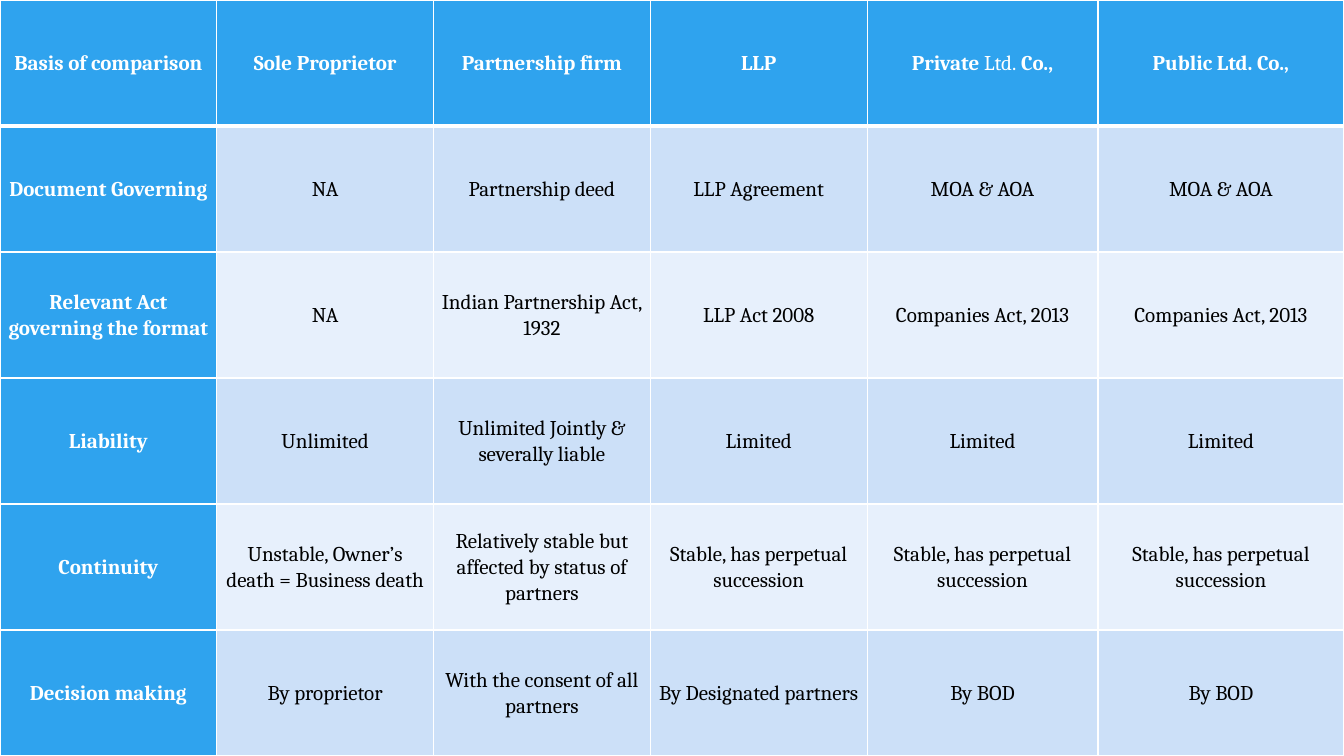
from lxml import etree
from pptx import Presentation
from pptx.dml.color import RGBColor
from pptx.enum import text as t
from pptx.oxml.ns import qn
from pptx.util import Inches, Pt

HEX = {"head": "2FA3EE", "odd": "CCE0F8", "even": "E7F0FC",
       "white": "FFFFFF", "black": "000000", "gray": "B7B7B7"}
WIDTHS = [2.15, 2.15, 2.15, 2.15, 2.29, 2.44]
HIGH = 1.25
# A cell is a string (newline = new paragraph) or a list of (text, bold) runs.
ROWS = [
    ["Basis of comparison", "Sole Proprietor", "Partnership firm", "LLP",
     [("Private ", True), ("Ltd.", False), (" Co.,", True)],
     "Public Ltd. Co.,"],
    ["Document Governing", "NA", "Partnership deed", "LLP Agreement",
     "MOA & AOA", "MOA & AOA"],
    ["Relevant Act governing the format", "NA",
     "Indian Partnership Act, 1932", "LLP Act 2008",
     "Companies Act, 2013", "Companies Act, 2013"],
    ["Liability", "Unlimited", "Unlimited Jointly & severally liable",
     "Limited", "Limited", "Limited"],
    ["Continuity", "Unstable, Owner’s death = Business death",
     "Relatively stable but affected by status of partners",
     "Stable, has perpetual\nsuccession",
     "Stable, has perpetual succession",
     "Stable, has perpetual succession"],
    ["Decision making", "By proprietor", "With the consent of all partners",
     "By Designated partners", "By BOD", "By BOD"],
]


def color(name):
    return RGBColor.from_string(HEX[name])


def write(frame, runs, size=15, face="Cambria", ink="black"):
    """Fill a text frame with (text, bold) runs; a newline starts a paragraph."""
    para = frame.paragraphs[0]
    for words, bold in runs:
        for i, line in enumerate(words.split("\n")):
            if i:
                para = frame.add_paragraph()
            run = para.add_run()
            run.text = line
            run.font.size, run.font.name, run.font.bold = Pt(size), face, bold
            run.font.color.rgb = color(ink)
    for para in frame.paragraphs:
        para.alignment = t.PP_ALIGN.CENTER
        para.line_spacing = 1.07


def edge(cell, **sides):
    """Draw white cell borders, given as side=points."""
    props = cell._tc.get_or_add_tcPr()
    for i, (side, points) in enumerate(sides.items()):
        line = etree.Element(qn("a:ln" + side), w=str(Pt(points)))
        fill = etree.SubElement(line, qn("a:solidFill"))
        etree.SubElement(fill, qn("a:srgbClr"), val=HEX["white"])
        props.insert(i, line)


def style(cell, row, col):
    cell.vertical_anchor = t.MSO_ANCHOR.MIDDLE
    cell.margin_left = cell.margin_right = Inches(0.07)
    cell.margin_top = cell.margin_bottom = 0
    head = row == 0 or col == 0
    cell.fill.solid()
    cell.fill.fore_color.rgb = color(
        "head" if head else "odd" if row % 2 else "even")
    edge(cell, L=1, R=1, T=3 if row == 1 else 1, B=3 if row == 0 else 1)


def grid(slide):
    table = slide.shapes.add_table(
        len(ROWS), len(WIDTHS), 0, 0,
        Inches(sum(WIDTHS)), Inches(HIGH * len(ROWS))).table
    for column, width in zip(table.columns, WIDTHS):
        column.width = Inches(width)
    for r, row in enumerate(ROWS):
        table.rows[r].height = Inches(HIGH)
        for c, item in enumerate(row):
            cell = table.cell(r, c)
            head = r == 0 or c == 0
            runs = [(item, head)] if isinstance(item, str) else item
            write(cell.text_frame, runs, ink="white" if head else "black")
            style(cell, r, c)


def shade(slide):
    """Set the white-to-gray background."""
    fill = slide.background.fill
    fill.gradient()
    fill.gradient_angle = 270
    for stop, name in zip(fill.gradient_stops, ["white", "gray"]):
        stop.color.rgb = color(name)


def main():
    deck = Presentation()
    deck.slide_width, deck.slide_height = Inches(13.33), Inches(7.5)
    slide = deck.slides.add_slide(deck.slide_layouts[6])
    shade(slide)
    grid(slide)
    deck.save("out.pptx")


if __name__ == "__main__":
    main()
